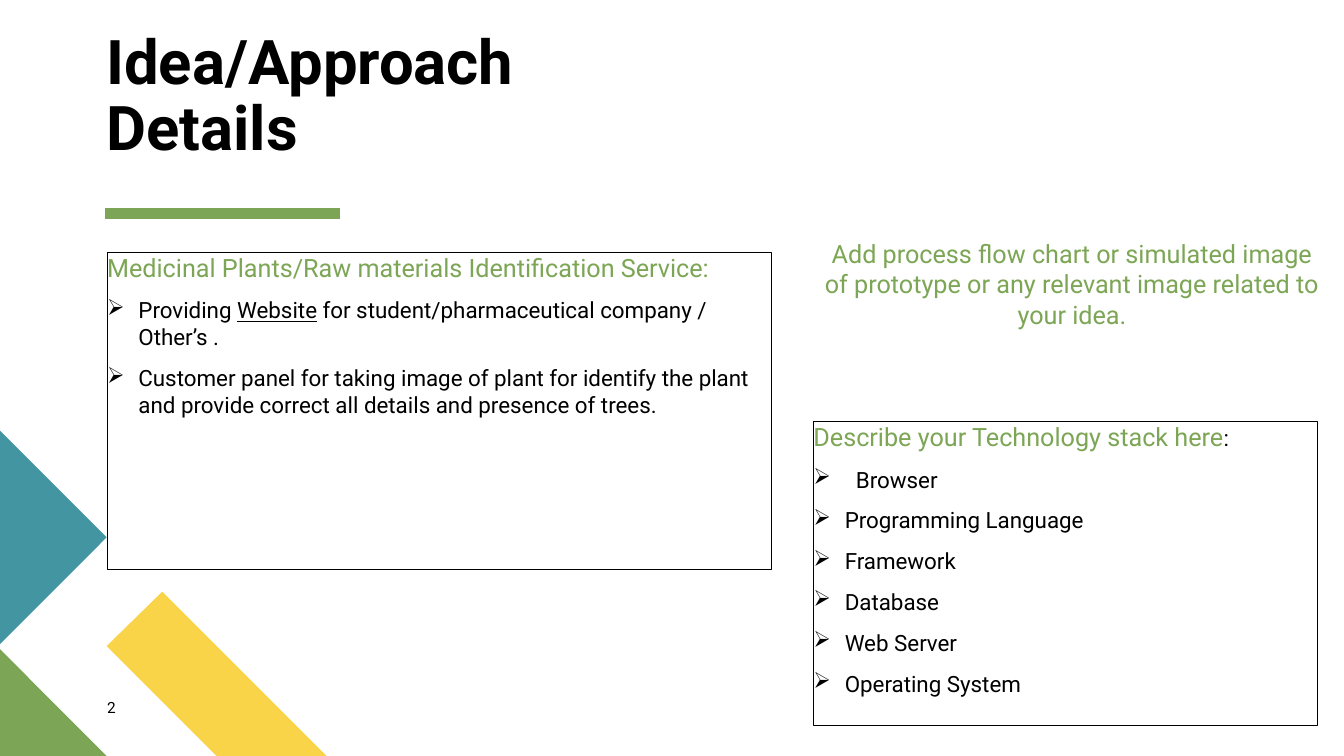
import dataclasses
import pptx
import pptx.util
import pptx.dml.color
import pptx.enum.shapes
import pptx.enum.text
import pptx.oxml
import pptx.oxml.ns

Cm = pptx.util.Cm
Pt = pptx.util.Pt
Align = pptx.enum.text.PP_ALIGN
Anchor = pptx.enum.text.MSO_ANCHOR
Shape = pptx.enum.shapes.MSO_SHAPE
qn = pptx.oxml.ns.qn


@dataclasses.dataclass(frozen=True)
class Theme:
    font: str = "Roboto"
    mark: str = "➢"
    black: str = "000000"
    green: str = "7CA655"
    teal: str = "4495A2"
    gold: str = "F9D448"
    title: int = 44
    head: int = 18
    body: int = 16
    note: int = 11


theme = Theme()


def color(code):
    return pptx.dml.color.RGBColor.from_string(code)


def assign(item, values):
    for name, value in values.items():
        setattr(item, name, value)


def place(shape, box):
    sides = ("left", "top", "width", "height")
    assign(shape, dict(zip(sides, map(Cm, box))))


def frame(shape, anchor=Anchor.TOP, side=0, edge=0):
    text = shape.text_frame
    assign(text, {
        "word_wrap": True, "auto_size": pptx.enum.text.MSO_AUTO_SIZE.NONE,
        "vertical_anchor": anchor,
        "margin_left": Cm(side), "margin_right": Cm(side),
        "margin_top": Cm(edge), "margin_bottom": Cm(edge),
    })
    return text


def write(para, text, size, code=theme.black, **style):
    run = para.add_run()
    run.text = text
    assign(run.font, {"name": theme.font, "size": Pt(size), **style})
    run.font.color.rgb = color(code)


def bullet(para, indent):
    para.space_before = Pt(10)
    props = para._p.get_or_add_pPr()
    props.set("marL", str(Cm(indent)))
    props.set("indent", str(-Cm(indent)))
    tint = pptx.oxml.parse_xml(
        '<a:buClr xmlns:a="http://schemas.openxmlformats.org/drawingml/2006/main">'
        f'<a:srgbClr val="{theme.black}"/></a:buClr>')
    props.append(tint)
    sign = props.makeelement(qn("a:buChar"), {"char": theme.mark})
    props.append(sign)


def decor(slide, box):
    left, top = box[:2]
    parts = (
        (theme.gold, ((546, 820), (823, 820), (409, 406), (269, 543))),
        (theme.green, ((0, 820), (269, 820), (0, 551))),
        (theme.teal, ((0, 0), (269, 269), (0, 538))),
    )
    for code, points in parts:
        path = slide.shapes.build_freeform(*points[0], scale=Cm(0.01))
        path.add_line_segments(points[1:], close=True)
        shape = path.convert_to_shape(Cm(left), Cm(top))
        shape.shadow.inherit = False
        shape.fill.solid()
        shape.fill.fore_color.rgb = color(code)
        shape.line.fill.background()


def header(slide, box):
    left, top, width, height = box
    title = slide.shapes.title
    place(title, box)
    para = frame(title, Anchor.BOTTOM).paragraphs[0]
    assign(para, {"alignment": Align.LEFT, "line_spacing": 0.9})
    write(para, "Idea/Approach Details", theme.title, bold=True)
    level = Cm(top + height + 1.24)
    rule = slide.shapes.add_connector(
        pptx.enum.shapes.MSO_CONNECTOR.STRAIGHT,
        Cm(left - 0.03), level, Cm(left + 5.9), level)
    rule.line.color.rgb = color(theme.green)
    rule.line.width = Pt(8)
    props = rule._element.spPr
    props.append(props.makeelement(qn("a:effectLst"), {}))


def panel(slide, box, head, items):
    shape = slide.shapes.add_shape(Shape.RECTANGLE, *map(Cm, box))
    shape.shadow.inherit = False
    shape.fill.background()
    shape.line.color.rgb = color(theme.black)
    shape.line.width = Pt(0.75)
    text = frame(shape)
    para = text.paragraphs[0]
    para.alignment = Align.LEFT
    for words, size, code in head:
        write(para, words, size, code)
    for indent, runs in items:
        para = text.add_paragraph()
        para.alignment = Align.LEFT
        bullet(para, indent)
        for words, under in runs:
            write(para, words, theme.body, underline=under)


def label(slide, box, words, size, code, align, side=0, edge=0):
    shape = slide.shapes.add_textbox(*map(Cm, box))
    para = frame(shape, side=side, edge=edge).paragraphs[0]
    para.alignment = align
    write(para, words, size, code)


def main():
    deck = pptx.Presentation()
    assign(deck, {"slide_width": Cm(33.87), "slide_height": Cm(19.05)})
    slide = deck.slides.add_slide(deck.slide_layouts[5])
    decor(slide, (0, 10.85, 8.23, 8.2))
    header(slide, (2.68, 2.44, 15.3, 1.7))
    panel(
        slide, (2.7, 6.36, 16.74, 8),
        [("Medicinal Plants/Raw materials Identification Service:",
          theme.head, theme.green)],
        [(0.79, [("Providing ", False), ("Website", True),
                 (" for student/pharmaceutical company / Other’s .", False)]),
         (0.79, [("Customer panel for taking image of plant for identify the "
                  "plant and provide correct all details and presence of "
                  "trees.", False)])])
    label(slide, (2.7, 17.58, 1.45, 0.69), "2", theme.note, theme.black,
          Align.LEFT)
    label(slide, (20.5, 5.88, 13.03, 2.57),
          "Add process flow chart or simulated image of prototype or any "
          "relevant image related to your idea.",
          theme.head, theme.green, Align.CENTER, 0.25, 0.13)
    stack = ("Programming Language", "Framework", "Database", "Web Server",
             "Operating System")
    panel(
        slide, (20.5, 10.62, 12.7, 7.67),
        [("Describe your Technology stack here", theme.head, theme.green),
         (":", theme.body, theme.black)],
        [(1.07, [("Browser", False)])]
        + [(0.79, [(name, False)]) for name in stack])
    deck.save("out.pptx")


if __name__ == "__main__":
    main()
